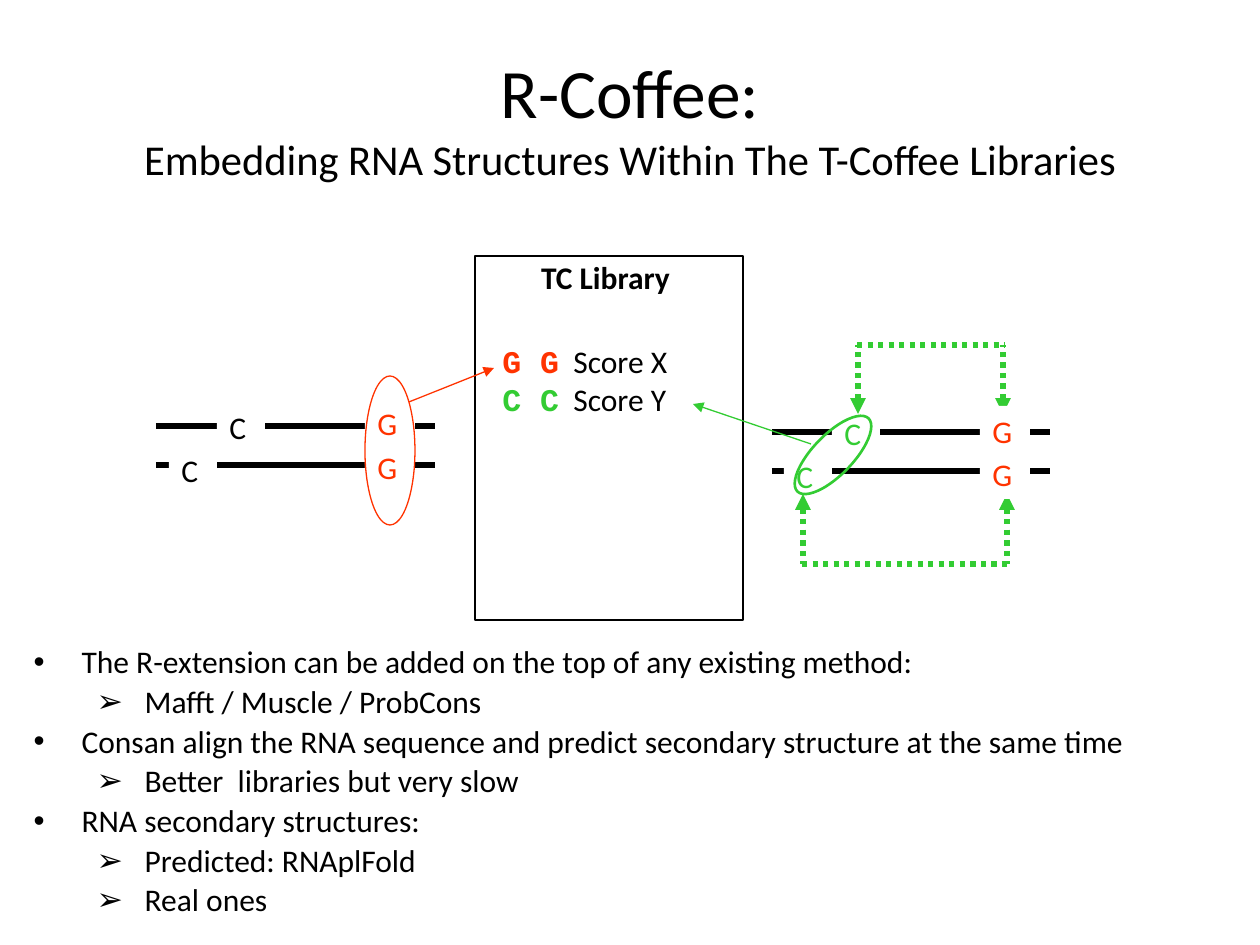
import lxml.etree
import pptx
import pptx.dml.color
import pptx.enum.dml
import pptx.enum.shapes
import pptx.enum.text
import pptx.oxml.ns
import pptx.util

PX_PER_INCH = 126
BLACK = pptx.dml.color.RGBColor(0x00, 0x00, 0x00)
WHITE = pptx.dml.color.RGBColor(0xFF, 0xFF, 0xFF)
RED = pptx.dml.color.RGBColor(0xFF, 0x33, 0x00)
GREEN = pptx.dml.color.RGBColor(0x33, 0xCC, 0x33)
FONT = "Calibri"
MONOSPACE_FONT = "Courier New"
TEXT_SIZE = 18
RECTANGLE = pptx.enum.shapes.MSO_SHAPE.RECTANGLE
OVAL = pptx.enum.shapes.MSO_SHAPE.OVAL
CENTER = pptx.enum.text.PP_ALIGN.CENTER

BULLETS = [
    (0, "The R-extension can be added on the top of any existing method:"),
    (1, "Mafft / Muscle / ProbCons"),
    (0, "Consan align the RNA sequence and predict secondary structure at the same time"),
    (1, "Better  libraries but very slow"),
    (0, "RNA secondary structures:"),
    (1, "Predicted: RNAplFold"),
    (1, "Real ones"),
]


def px(length):
    """Turn a length in px into EMU."""
    return pptx.util.Emu(round(length * 914400 / PX_PER_INCH))


def add_xml(parent, tag, **attributes):
    """Append a DrawingML element to its parent."""
    return lxml.etree.SubElement(parent, pptx.oxml.ns.qn(tag), **attributes)


def set_font(font, size=TEXT_SIZE, color=BLACK, name=FONT, bold=False):
    """Set size, colour, typeface and weight of a font."""
    font.size = pptx.util.Pt(size)
    font.color.rgb = color
    font.name = name
    font.bold = bold


def place(shape, left, top, width, height):
    """Move and size a shape."""
    shape.left, shape.top, shape.width, shape.height = map(px, (left, top, width, height))


def add_line(slide, start, end, color, width, arrow=None, dotted=False):
    """Draw a line, with an arrowhead at its headEnd or tailEnd if asked."""
    connector = slide.shapes.add_connector(
        pptx.enum.shapes.MSO_CONNECTOR.STRAIGHT, *map(px, (*start, *end)))
    connector.line.color.rgb = color
    connector.line.width = pptx.util.Pt(width)
    if dotted:
        connector.line.dash_style = pptx.enum.dml.MSO_LINE.ROUND_DOT
    if arrow:
        add_xml(connector.line._get_or_add_ln(), f"a:{arrow}", type="triangle")
    add_xml(connector._element.spPr, "a:effectLst")


def add_shape(slide, preset, box, fill=None, line=None, width=0.75):
    """Draw a preset shape without shadow."""
    shape = slide.shapes.add_shape(preset, *map(px, box))
    shape.shadow.inherit = False
    if fill is None:
        shape.fill.background()
    else:
        shape.fill.solid()
        shape.fill.fore_color.rgb = fill
    if line is None:
        shape.line.fill.background()
    else:
        shape.line.color.rgb = line
        shape.line.width = pptx.util.Pt(width)
    return shape


def add_base(slide, left, top, width, letter, color):
    """Place a nucleotide letter on a white patch."""
    shape = add_shape(slide, RECTANGLE, (left, top, width, 50), WHITE)
    shape.text_frame.word_wrap = False
    paragraph = shape.text_frame.paragraphs[0]
    paragraph.text = letter
    paragraph.alignment = pptx.enum.text.PP_ALIGN.LEFT
    set_font(paragraph.font, color=color)


def add_strands(slide, left, top, width):
    """Draw two parallel sequence strands."""
    for y in (top, top + 39):
        add_line(slide, (left, y), (left + width, y), BLACK, 3)


def add_bracket(slide, left, right, base, tip):
    """Draw a dotted bracket whose two legs point at paired bases."""
    for x in (left, right):
        add_line(slide, (x, tip), (x, base), GREEN, 3, "headEnd", True)
    add_line(slide, (left - 1, base), (right + 2, base), GREEN, 3, dotted=True)


def add_title(slide, box):
    """Fill the title placeholder with a heading and a smaller subheading."""
    title = slide.shapes.title
    place(title, *box)
    title.text_frame.auto_size = pptx.enum.text.MSO_AUTO_SIZE.NONE
    title.text_frame.vertical_anchor = pptx.enum.text.MSO_ANCHOR.MIDDLE
    paragraph = title.text_frame.paragraphs[0]
    paragraph.alignment = CENTER
    set_font(paragraph.font, 39.6)
    paragraph.add_run().text = "R-Coffee:"
    paragraph.add_line_break()
    subheading = paragraph.add_run()
    subheading.text = "Embedding RNA Structures Within The T-Coffee Libraries"
    subheading.font.size = pptx.util.Pt(24.3)


def add_library(slide, box):
    """Draw the library frame with its heading and scored pairs."""
    left, top, width, height = box
    add_shape(slide, RECTANGLE, box, WHITE, BLACK)
    heading = slide.shapes.add_textbox(*map(px, (left - 10, top - 4, width + 13, 50)))
    heading.text_frame.word_wrap = True
    paragraph = heading.text_frame.paragraphs[0]
    paragraph.text = "TC Library"
    paragraph.alignment = CENTER
    set_font(paragraph.font, bold=True)

    scores = slide.shapes.add_textbox(*map(px, (left + 15, top + 80, 212, 126)))
    frame = scores.text_frame
    frame.word_wrap = False
    for index, (pair, score, color) in enumerate(
            [("G G", "Score X", RED), ("C C", "Score Y", GREEN)]):
        paragraph = frame.add_paragraph() if index else frame.paragraphs[0]
        tabs = add_xml(paragraph._p.get_or_add_pPr(), "a:tabLst")
        add_xml(tabs, "a:tab", pos=str(px(71)), algn="l")
        pair_run = paragraph.add_run()
        pair_run.text = pair
        set_font(pair_run.font, color=color, name=MONOSPACE_FONT, bold=True)
        score_run = paragraph.add_run()
        score_run.text = "\t" + score
        set_font(score_run.font)


def add_sequence_pair(slide, box):
    """Draw the aligned pair whose G match enters the library."""
    left, top, width, height = box
    add_strands(slide, left, top + 50, width)
    for row in range(2):
        add_base(slide, left + 209, top + 22 + 44 * row, 50, "G", RED)
        add_base(slide, left + 61 - 48 * row, top + 26 + 43 * row, 48, "C", BLACK)
    add_shape(slide, OVAL, (left + 209, top, 50, height), line=RED)
    add_line(slide, (left + 253, top + 26), (left + 338, top - 8), RED, 0.75, "tailEnd")


def add_structure_pair(slide, box):
    """Draw the aligned pair whose folding adds the C match."""
    left, top, width, height = box
    add_strands(slide, left, top + 87, width)
    for row in range(2):
        add_base(slide, left + 60 - 48 * row, top + 63 + 43 * row, 48, "C", GREEN)
    add_bracket(slide, left + 86, left + 231, top, top + 69)
    add_bracket(slide, left + 31, left + 235, top + height, top + 149)
    ellipse = add_shape(slide, OVAL, (left + 41, top + 59, 40, 102), line=GREEN, width=1.5)
    ellipse.rotation = 44.1
    for row in range(2):
        add_base(slide, left + 208, top + 61 + 43 * row, 50, "G", RED)
    add_line(slide, (left + 39, top + 99), (left - 79, top + 59), GREEN, 0.75, "tailEnd")


def add_bullets(slide, box):
    """Fill the body placeholder with the two-level list."""
    body = slide.placeholders[1]
    place(body, *box)
    frame = body.text_frame
    frame.auto_size = pptx.enum.text.MSO_AUTO_SIZE.NONE
    for index, (level, text) in enumerate(BULLETS):
        paragraph = frame.add_paragraph() if index else frame.paragraphs[0]
        paragraph.text = text
        paragraph.level = level
        properties = paragraph._p.get_or_add_pPr()
        properties.set("marL", str(px(48 + 63 * level)))
        properties.set("indent", str(px(-48)))
        add_xml(properties, "a:buChar", char="•➢"[level])
        paragraph.line_spacing = 0.9
        paragraph.space_before = pptx.util.Pt(3.25 if index else 0)
        set_font(paragraph.font)


def main():
    """Build and save the presentation."""
    presentation = pptx.Presentation()
    presentation.slide_width, presentation.slide_height = px(1260), px(945)
    slide = presentation.slides.add_slide(presentation.slide_layouts[1])
    add_title(slide, (63, 38, 1134, 157))
    add_library(slide, (475, 256, 268, 364))
    add_sequence_pair(slide, (156, 376, 279, 149))
    add_structure_pair(slide, (772, 345, 278, 219))
    add_bullets(slide, (21, 640, 1197, 299))
    presentation.save("out.pptx")


if __name__ == "__main__":
    main()
